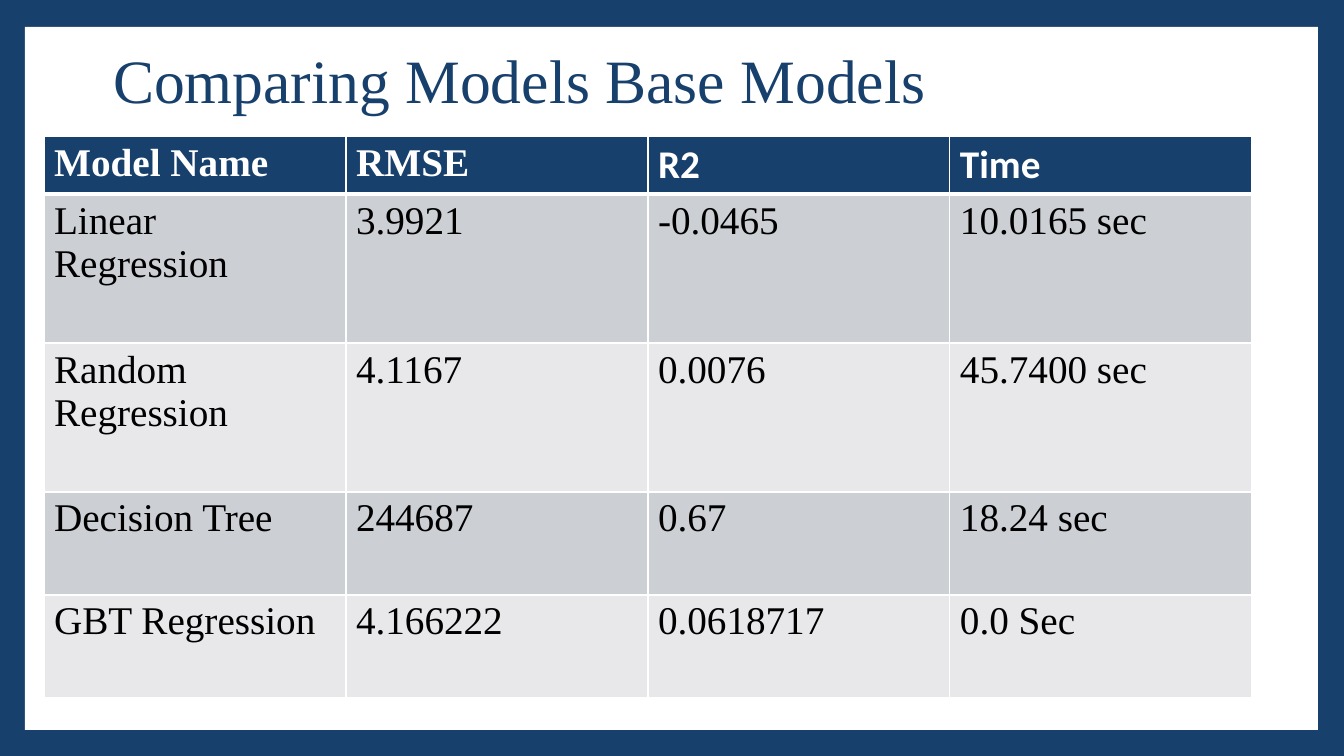
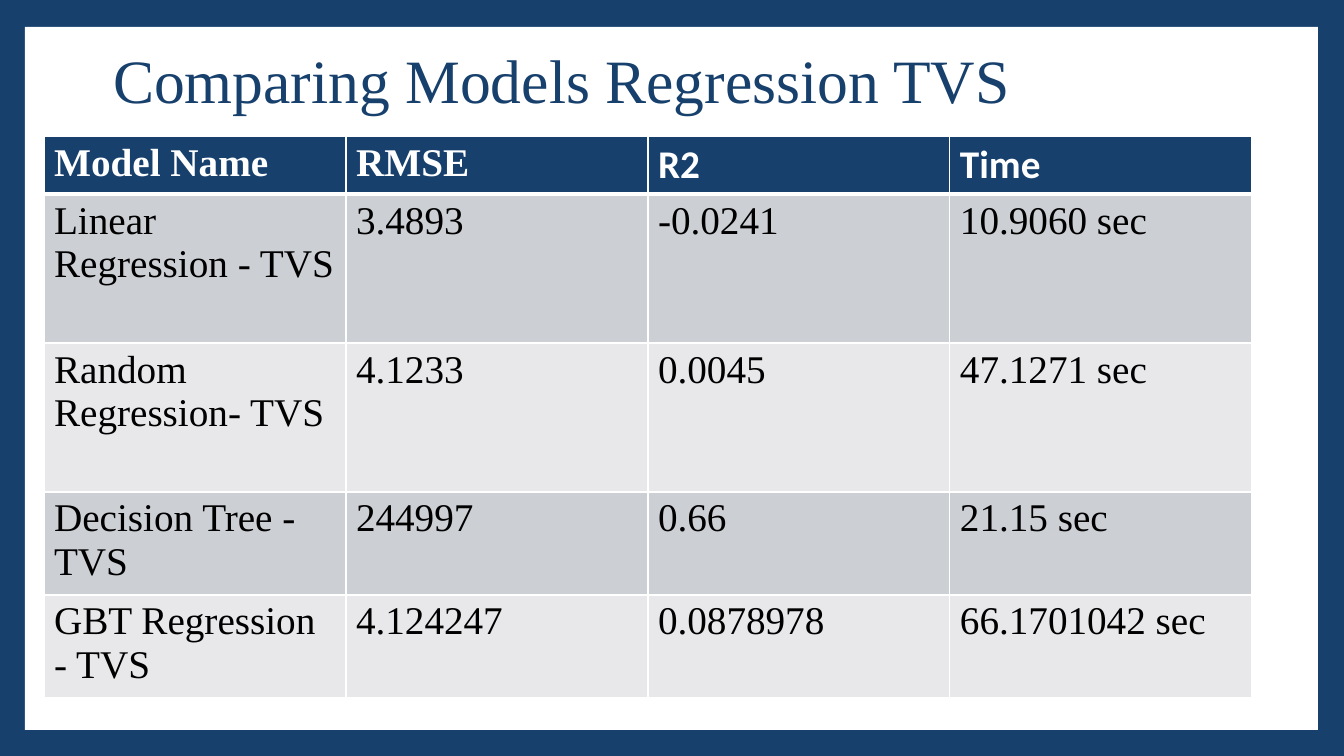
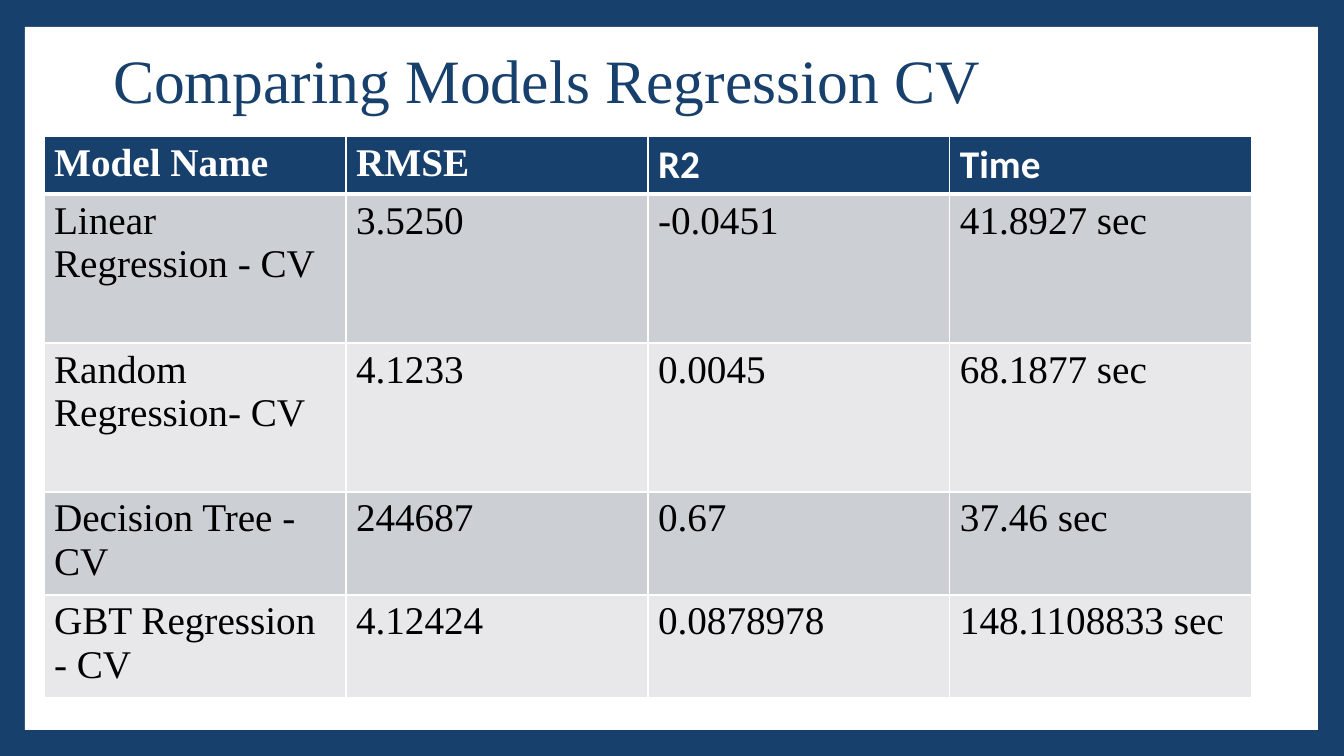
from dataclasses import dataclass
from typing import Any

from lxml.etree import SubElement
from pptx import Presentation
from pptx.dml.color import RGBColor
from pptx.enum.shapes import MSO_SHAPE
from pptx.enum.text import MSO_ANCHOR, MSO_AUTO_SIZE, PP_ALIGN
from pptx.oxml.ns import qn
from pptx.slide import Slide, SlideLayout
from pptx.table import _Cell
from pptx.util import Emu, Pt

COLORS = {
    "navy": "17406D",
    "white": "FFFFFF",
    "black": "000000",
    "dark_band": "CCCFD4",
    "light_band": "E8E8EB",
}
SERIF = "Times New Roman"
SANS = "Calibri"
TITLE_FONT = {"name": SERIF, "size": Pt(44), "bold": False}
HEADER_FONT = {"name": SERIF, "size": Pt(28), "bold": True}
HEADER_SANS_FONT = HEADER_FONT | {"name": SANS}
BODY_FONT = HEADER_FONT | {"bold": False}
TITLE_FRAME = {
    "word_wrap": True,
    "auto_size": MSO_AUTO_SIZE.NONE,
    "vertical_anchor": MSO_ANCHOR.MIDDLE,
}
TITLE_PARAGRAPH = {"alignment": PP_ALIGN.LEFT, "line_spacing": 0.9}

COLUMN_WIDTH = 302
ROW_HEIGHTS = (57, 149, 149, 103, 103)
HEADERS = ("Model Name", "RMSE", "R2", "Time")
THIN, THICK = Pt(1), Pt(3)


def px(length: int) -> Emu:
    return Emu(round(length * 914400 / 100.8))


@dataclass(frozen=True)
class Box:
    left: int
    top: int
    width: int
    height: int

    def scaled(self) -> tuple[Emu, Emu, Emu, Emu]:
        return px(self.left), px(self.top), px(self.width), px(self.height)


@dataclass(frozen=True)
class Comparison:
    title: str
    rows: tuple[tuple[str, str, str, str], ...]


PANEL = Box(25, 27, 1293, 703)
TITLE = Box(103, 45, 1089, 78)
TABLE = Box(44, 136, COLUMN_WIDTH * len(HEADERS), sum(ROW_HEIGHTS))

COMPARISONS = (
    Comparison("Comparing Models Base Models", (
        ("Linear Regression", "3.9921", "-0.0465", "10.0165 sec"),
        ("Random Regression", "4.1167", "0.0076", "45.7400 sec"),
        ("Decision Tree", "244687", "0.67", "18.24 sec"),
        ("GBT Regression", "4.166222", "0.0618717", "0.0 Sec"),
    )),
    Comparison("Comparing Models Regression TVS", (
        ("Linear Regression - TVS", "3.4893", "-0.0241", "10.9060 sec"),
        ("Random Regression- TVS", "4.1233", "0.0045", "47.1271 sec"),
        ("Decision Tree - TVS", "244997", "0.66", "21.15 sec"),
        ("GBT Regression - TVS", "4.124247", "0.0878978", "66.1701042 sec"),
    )),
    Comparison("Comparing Models Regression CV", (
        ("Linear Regression - CV", "3.5250", "-0.0451", "41.8927 sec"),
        ("Random Regression- CV", "4.1233", "0.0045", "68.1877 sec"),
        ("Decision Tree - CV", "244687", "0.67", "37.46 sec"),
        ("GBT Regression - CV", "4.12424", "0.0878978", "148.1108833 sec"),
    )),
)


def color(name: str) -> RGBColor:
    return RGBColor.from_string(COLORS[name])


def apply(target: Any, values: dict[str, Any]) -> None:
    for name, value in values.items():
        setattr(target, name, value)


def paint(target: Any, name: str) -> None:
    target.fill.solid()
    target.fill.fore_color.rgb = color(name)


def style_layout(layout: SlideLayout, slide: Slide) -> None:
    for placeholder in list(layout.placeholders)[1:]:
        placeholder.element.getparent().remove(placeholder.element)
    paint(layout.background, "navy")
    panel = slide.shapes.add_shape(MSO_SHAPE.RECTANGLE, *PANEL.scaled())
    panel.shadow.inherit = False
    paint(panel, "white")
    panel.line.fill.background()
    layout.shapes.element.insert(2, panel.element)

    title = layout.placeholders[0]
    title.left, title.top, title.width, title.height = TITLE.scaled()


def add_title(slide: Slide, text: str) -> None:
    title = slide.shapes.title
    title.left, title.top, title.width, title.height = TITLE.scaled()
    apply(title.text_frame, TITLE_FRAME)
    paragraph = title.text_frame.paragraphs[0]
    apply(paragraph, TITLE_PARAGRAPH)
    run = paragraph.add_run()
    run.text = text
    apply(run.font, TITLE_FONT)
    run.font.color.rgb = color("navy")


def add_borders(cell: _Cell, top: int, bottom: int) -> None:
    properties = cell._tc.get_or_add_tcPr()
    widths = {"a:lnL": THIN, "a:lnR": THIN, "a:lnT": top, "a:lnB": bottom}
    for tag, width in widths.items():
        line = SubElement(properties, qn(tag), w=str(int(width)))
        fill = SubElement(line, qn("a:solidFill"))
        SubElement(fill, qn("a:srgbClr"), val=COLORS["white"])


def fill_cell(cell: _Cell, text: str, row: int, column: int) -> None:
    if row == 0:
        font = HEADER_FONT if column < 2 else HEADER_SANS_FONT
        fill, ink = "navy", "white"
    else:
        font, ink = BODY_FONT, "black"
        fill = "dark_band" if row % 2 else "light_band"
    add_borders(cell, THICK if row == 1 else THIN, THICK if row == 0 else THIN)
    paint(cell, fill)
    run = cell.text_frame.paragraphs[0].add_run()
    run.text = text
    apply(run.font, font)
    run.font.color.rgb = color(ink)


def add_comparison_table(slide: Slide, comparison: Comparison) -> None:
    rows = (HEADERS, *comparison.rows)
    table = slide.shapes.add_table(len(rows), len(HEADERS), *TABLE.scaled()).table
    for column in table.columns:
        column.width = px(COLUMN_WIDTH)
    for row, height in zip(table.rows, ROW_HEIGHTS):
        row.height = px(height)
    for row_index, texts in enumerate(rows):
        for column_index, text in enumerate(texts):
            fill_cell(table.cell(row_index, column_index), text, row_index, column_index)


def main() -> None:
    presentation = Presentation()
    presentation.slide_width, presentation.slide_height = px(1344), px(756)
    layout = presentation.slide_layouts[5]
    slides = [presentation.slides.add_slide(layout) for _ in COMPARISONS]
    style_layout(layout, slides[0])
    for slide, comparison in zip(slides, COMPARISONS):
        add_title(slide, comparison.title)
        add_comparison_table(slide, comparison)
    presentation.save("out.pptx")


if __name__ == "__main__":
    main()
